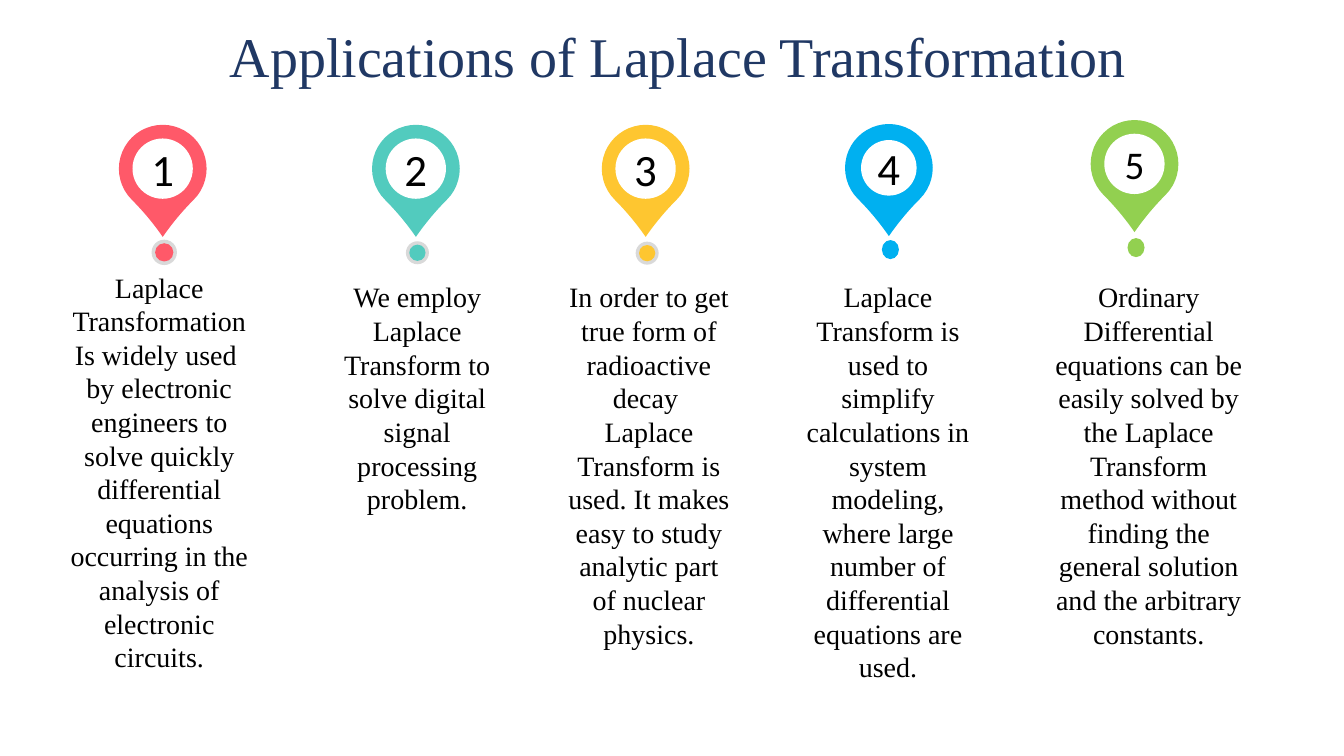
from collections import namedtuple

from pptx import Presentation, util as u
from pptx.dml import color
from pptx.enum import shapes, text

ELLIPSE = shapes.MSO_SHAPE.OVAL
TEARDROP = shapes.MSO_SHAPE.TEAR

Application = namedtuple(
    "Application",
    "center_x center_y fill halo halo_size dot_size dot_y hole digit_size "
    "text_left text_top text_width text_height paragraphs",
)

APPLICATIONS = [
    Application(4.1, 4.25, "FF5969", "D9D9D9", (0.64, 0.64), (0.46, 0.46), 6.36, 1.52, 32,
                1.22, 6.68, 5.59, 10.52,
                ["Laplace Transformation",
                 "Is widely used  by electronic engineers to solve quickly differential "
                 "equations occurring in the analysis of electronic circuits."]),
    Application(10.48, 4.25, "52CBBE", "D9D9D9", (0.58, 0.58), (0.41, 0.41), 6.37, 1.52, 32,
                8.33, 6.93, 4.37, 6.25,
                ["We employ Laplace Transform to solve digital signal processing problem."]),
    Application(16.27, 4.25, "FEC630", "D9D9D9", (0.58, 0.58), (0.41, 0.41), 6.38, 1.52, 32,
                14.02, 6.93, 4.67, 9.65,
                ["In order to get true form of radioactive decay  Laplace Transform is used. "
                 "It makes easy to study analytic part of nuclear physics."]),
    Application(22.4, 4.23, "00B0F0", "00B0F0", (0.43, 0.48), (0.3, 0.36), 6.29, 1.4, 32,
                20.02, 6.93, 4.72, 10.52,
                ["Laplace Transform is used to simplify calculations in system modeling, "
                 "where large number of differential equations are used."]),
    Application(28.59, 4.13, "92D050", "92D050", (0.43, 0.48), (0.3, 0.36), 6.24, 1.52, 28,
                26.26, 6.93, 5.38, 9.65,
                ["Ordinary Differential equations can be easily solved by the Laplace "
                 "Transform method without finding the general solution and the arbitrary "
                 "constants."]),
]


def rgb(value):
    return color.RGBColor.from_string(value)


class SlideBuilder:
    text_font = "Times New Roman"
    digit_font = "Calibri"
    title_color = "203864"
    text_color = "000000"
    pin_size = 2.21
    dot_shift = 0.04

    def __init__(self, slide):
        self.slide = slide

    def format_text(self, frame, font, size, fill):
        for paragraph in frame.paragraphs:
            paragraph.alignment = text.PP_ALIGN.CENTER
            for run in paragraph.runs:
                run.font.name = font
                run.font.size = u.Pt(size)
                run.font.color.rgb = rgb(fill)

    def text_box(self, left, top, width, height, paragraphs, size, fill):
        box = self.slide.shapes.add_textbox(u.Cm(left), u.Cm(top), u.Cm(width), u.Cm(height))
        frame = box.text_frame
        frame.word_wrap = True
        frame.auto_size = text.MSO_AUTO_SIZE.SHAPE_TO_FIT_TEXT
        frame.text = "\n".join(paragraphs)
        self.format_text(frame, self.text_font, size, fill)

    def centered_shape(self, kind, center_x, center_y, width, height, fill):
        shape = self.slide.shapes.add_shape(
            kind, u.Cm(center_x - width / 2), u.Cm(center_y - height / 2),
            u.Cm(width), u.Cm(height))
        shape.shadow.inherit = False
        shape.fill.solid()
        shape.fill.fore_color.rgb = rgb(fill)
        shape.line.fill.background()
        return shape

    def dot(self, item):
        for size, fill in ((item.halo_size, item.halo), (item.dot_size, item.fill)):
            self.centered_shape(ELLIPSE, item.center_x + self.dot_shift, item.dot_y, *size, fill)

    def pin(self, item, number):
        drop = self.centered_shape(TEARDROP, item.center_x, item.center_y,
                                   self.pin_size, self.pin_size, item.fill)
        drop.rotation = 135
        drop.adjustments[0] = 1.1
        hole = self.centered_shape(ELLIPSE, item.center_x, item.center_y,
                                   item.hole, item.hole, "FFFFFF")
        frame = hole.text_frame
        frame.margin_left = frame.margin_right = 0
        frame.vertical_anchor = text.MSO_ANCHOR.MIDDLE
        frame.text = str(number)
        self.format_text(frame, self.digit_font, item.digit_size, self.text_color)

    def application(self, item, number):
        self.dot(item)
        self.pin(item, number)
        self.text_box(item.text_left, item.text_top, item.text_width, item.text_height,
                      item.paragraphs, 20, self.text_color)


def main():
    presentation = Presentation()
    presentation.slide_width = u.Cm(33.87)
    presentation.slide_height = u.Cm(19.05)
    builder = SlideBuilder(presentation.slides.add_slide(presentation.slide_layouts[6]))
    builder.text_box(3.89, 0.41, 26.39, 1.96, ["Applications of Laplace Transformation"],
                     40, builder.title_color)
    for number, item in enumerate(APPLICATIONS, start=1):
        builder.application(item, number)
    presentation.save("out.pptx")


if __name__ == "__main__":
    main()
